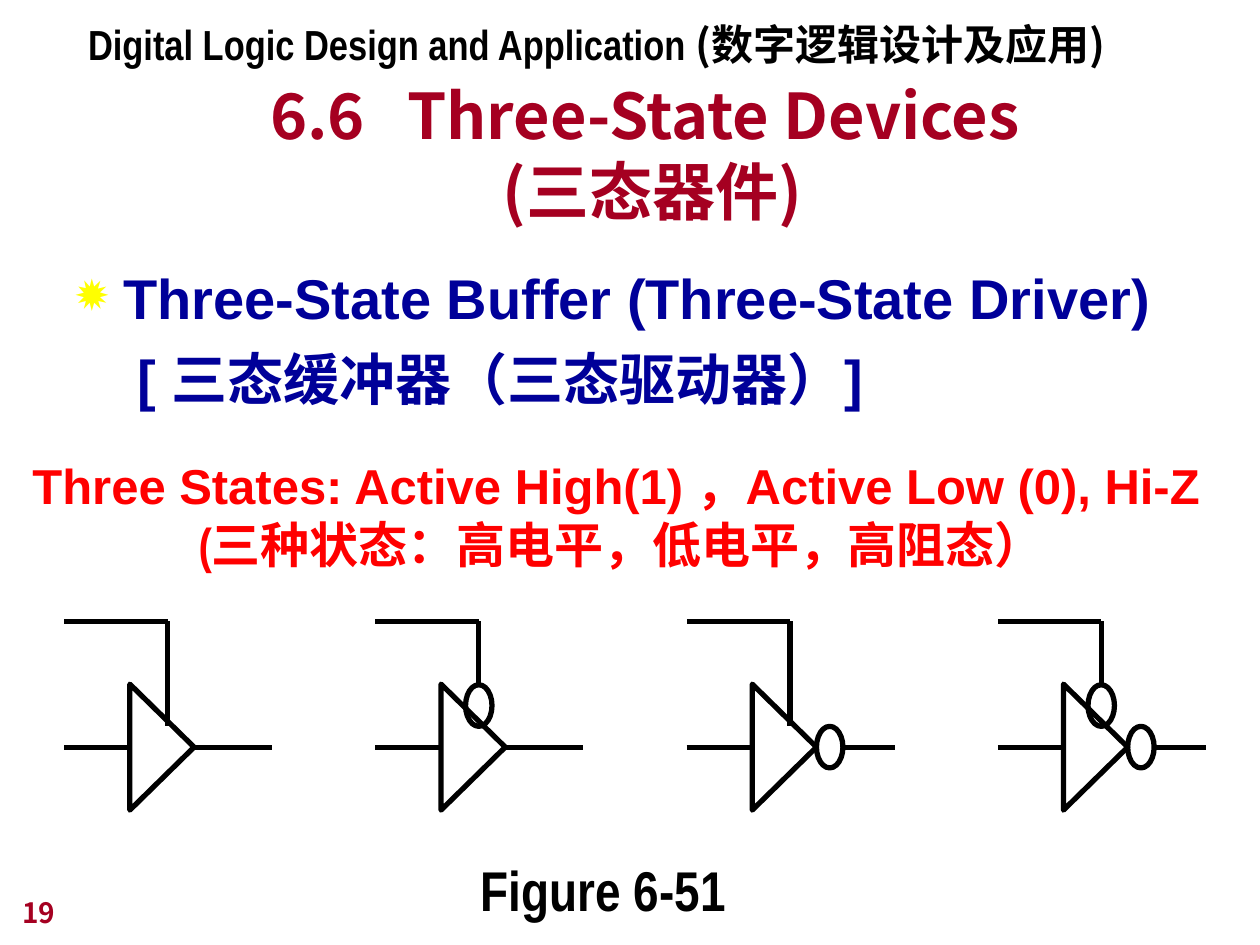
from dataclasses import dataclass
from typing import Optional

from lxml.etree import SubElement
from pptx import Presentation
from pptx.dml.color import RGBColor
from pptx.enum.shapes import MSO_CONNECTOR, MSO_SHAPE
from pptx.enum.text import MSO_ANCHOR, PP_ALIGN
from pptx.oxml.ns import qn
from pptx.util import Inches, Pt

SANS = "Arial"
SLIM = "Arial Narrow"
NOTO = "Noto Sans CJK JP"
BLACK, WINE, NAVY, RED, GOLD = "000000", "A50021", "000099", "FF0000", "FFFF00"


@dataclass
class Run:
    text: str
    size: float
    font: str
    color: str
    gap: float = 0


@dataclass
class Para:
    runs: list[Run]
    left: float = 0
    hang: float = 0
    before: float = 0
    mark: Optional[str] = None
    align: PP_ALIGN = PP_ALIGN.LEFT


@dataclass
class Box:
    left: float
    top: float
    width: float
    height: float
    paras: list[Para]
    wrap: bool = True
    anchor: MSO_ANCHOR = MSO_ANCHOR.TOP


@dataclass
class Gate:
    low: bool
    inverts: bool


def tint(code: str) -> RGBColor:
    return RGBColor.from_string(code)


def add_run(para, run: Run) -> None:
    item = para.add_run()
    item.text = run.text
    font = item.font
    font.size, font.bold, font.name = Pt(run.size), True, run.font
    font.color.rgb = tint(run.color)
    props = font._element
    SubElement(props, qn("a:ea")).set("typeface", NOTO)
    if run.gap:
        props.set("spc", str(int(run.gap * 100)))


def add_mark(props, mark: str) -> None:
    color = SubElement(props, qn("a:buClr"))
    SubElement(color, qn("a:srgbClr")).set("val", GOLD)
    SubElement(props, qn("a:buSzPct")).set("val", "100000")
    SubElement(props, qn("a:buChar")).set("char", mark)


def add_box(shapes, box: Box) -> None:
    frame = shapes.add_textbox(Inches(box.left), Inches(box.top),
                               Inches(box.width), Inches(box.height)).text_frame
    frame.word_wrap = box.wrap
    frame.vertical_anchor = box.anchor
    for i, data in enumerate(box.paras):
        para = frame.add_paragraph() if i else frame.paragraphs[0]
        para.alignment = data.align
        if data.before:
            para.space_before = Pt(data.before)
        props = para._p.get_or_add_pPr()
        props.set("marL", str(Inches(data.left)))
        props.set("indent", str(Inches(data.hang)))
        if data.mark:
            add_mark(props, data.mark)
        for run in data.runs:
            add_run(para, run)


def add_line(shapes, x1: float, y1: float, x2: float, y2: float) -> None:
    line = shapes.add_connector(MSO_CONNECTOR.STRAIGHT, Inches(x1), Inches(y1),
                                Inches(x2), Inches(y2))
    line.line.color.rgb = tint(BLACK)
    line.line.width = Pt(3)
    SubElement(line._element.spPr, qn("a:effectLst"))


def add_form(shapes, kind: MSO_SHAPE, x: float, y: float,
             width: float, height: float, turn: float = 0) -> None:
    form = shapes.add_shape(kind, Inches(x - width / 2), Inches(y - height / 2),
                            Inches(width), Inches(height))
    form.rotation = turn
    form.shadow.inherit = False
    form.fill.background()
    form.line.color.rgb = tint(BLACK)
    form.line.width = Pt(3)


def add_gate(shapes, gate: Gate, left: float) -> None:
    top, mid = 4.93, 5.93
    wide, high = 0.21, 0.33
    base, tip, end = left + 0.52, left + 1.03, left + 1.65
    pin = left + 0.82
    foot = mid - high / 2
    parts = shapes.add_group_shape().shapes
    add_form(parts, MSO_SHAPE.ISOSCELES_TRIANGLE, (base + tip) / 2, mid,
             1, tip - base, 90)
    if gate.low:
        add_form(parts, MSO_SHAPE.OVAL, pin, foot - high / 2, wide, high)
        foot -= high
    if gate.inverts:
        add_form(parts, MSO_SHAPE.OVAL, tip + wide / 2, mid, wide, high)
        tip += wide
    add_line(parts, left, mid, base, mid)
    add_line(parts, tip, mid, end, mid)
    add_line(parts, pin, top, pin, foot)
    add_line(parts, pin, top, left, top)


MID = PP_ALIGN.CENTER
BOXES = [
    Box(0.75, 0.48, 8.74, 1.38, [
        Para([Run("6.6", 36, NOTO, WINE), Run(" ", 36, NOTO, WINE, 16),
              Run("Three-State Devices", 36, NOTO, WINE)], align=MID),
        Para([Run("(三态器件)", 36, NOTO, WINE)], left=0.11, align=MID),
    ], anchor=MSO_ANCHOR.BOTTOM),
    Box(0.5, 2.04, 9, 1.4, [
        Para([Run("Three-State Buffer (Three-State Driver)", 32, SANS, NAVY)],
             left=0.38, hang=-0.38, mark="✹"),
        Para([Run("[ 三态缓冲器（三态驱动器）]", 32, SANS, NAVY)],
             left=0.49, before=8),
    ]),
    Box(3.59, 6.74, 2.4, 0.64,
        [Para([Run("Figure 6-51", 32, SLIM, BLACK)], align=MID)], wrap=False),
    Box(0.02, 3.57, 9.74, 1.04, [
        Para([Run("Three States: Active High(1) ，Active Low (0), Hi-Z",
                  28, SANS, RED)], align=MID),
        Para([Run("(三种状态：高电平，低电平，高阻态）", 28, SLIM, RED)],
             left=0.08, align=MID),
    ], wrap=False),
    Box(0.6, 0.1, 8.41, 0.5, [
        Para([Run("Digital Logic Design and Application ", 24, SLIM, BLACK),
              Run("(数字逻辑设计及应用)", 24, NOTO, BLACK)]),
    ]),
    Box(0.08, 6.92, 2.08, 0.5, [Para([Run("19", 16, NOTO, WINE)])],
        anchor=MSO_ANCHOR.BOTTOM),
]
GATES = [Gate(False, False), Gate(True, False),
         Gate(False, True), Gate(True, True)]


def main() -> None:
    deck = Presentation()
    deck.slide_width, deck.slide_height = Inches(10), Inches(7.5)
    shapes = deck.slides.add_slide(deck.slide_layouts[6]).shapes
    for i, gate in enumerate(GATES):
        add_gate(shapes, gate, 0.51 + 2.47 * i)
    for box in BOXES:
        add_box(shapes, box)
    deck.save("out.pptx")


if __name__ == "__main__":
    main()
